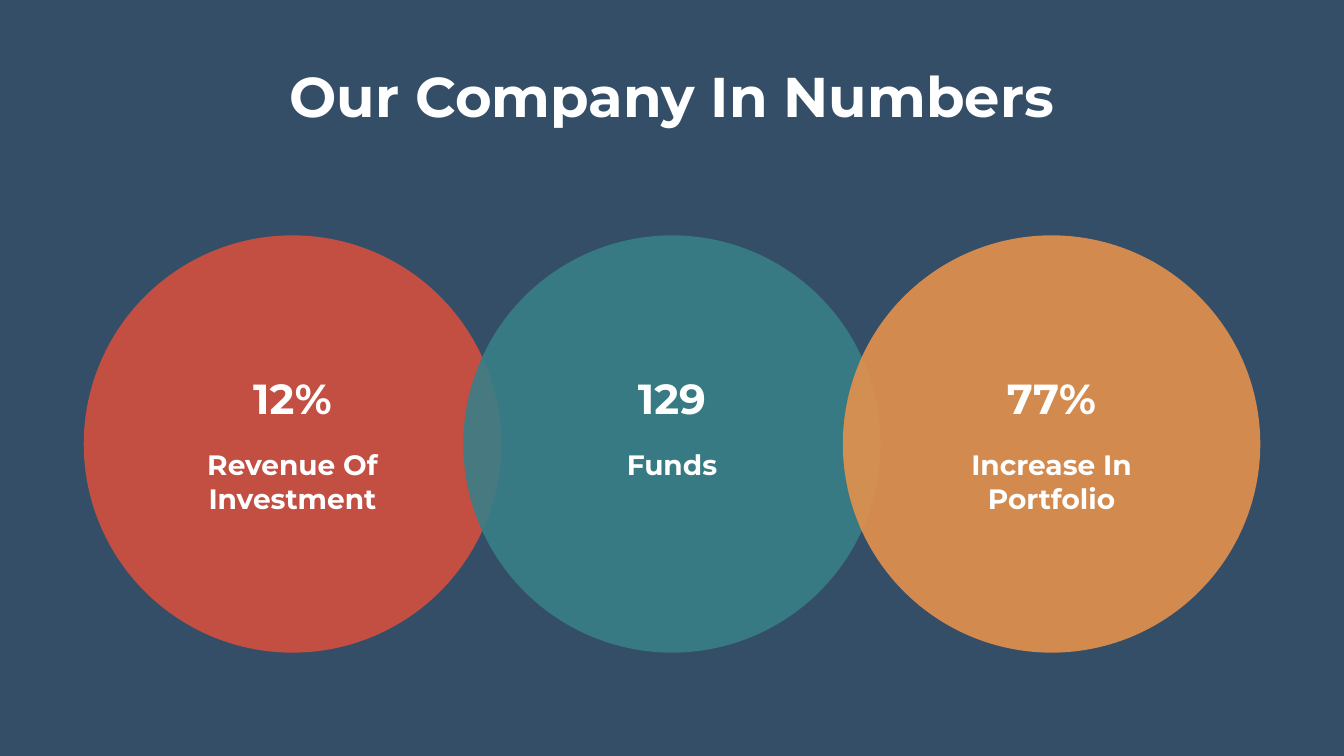
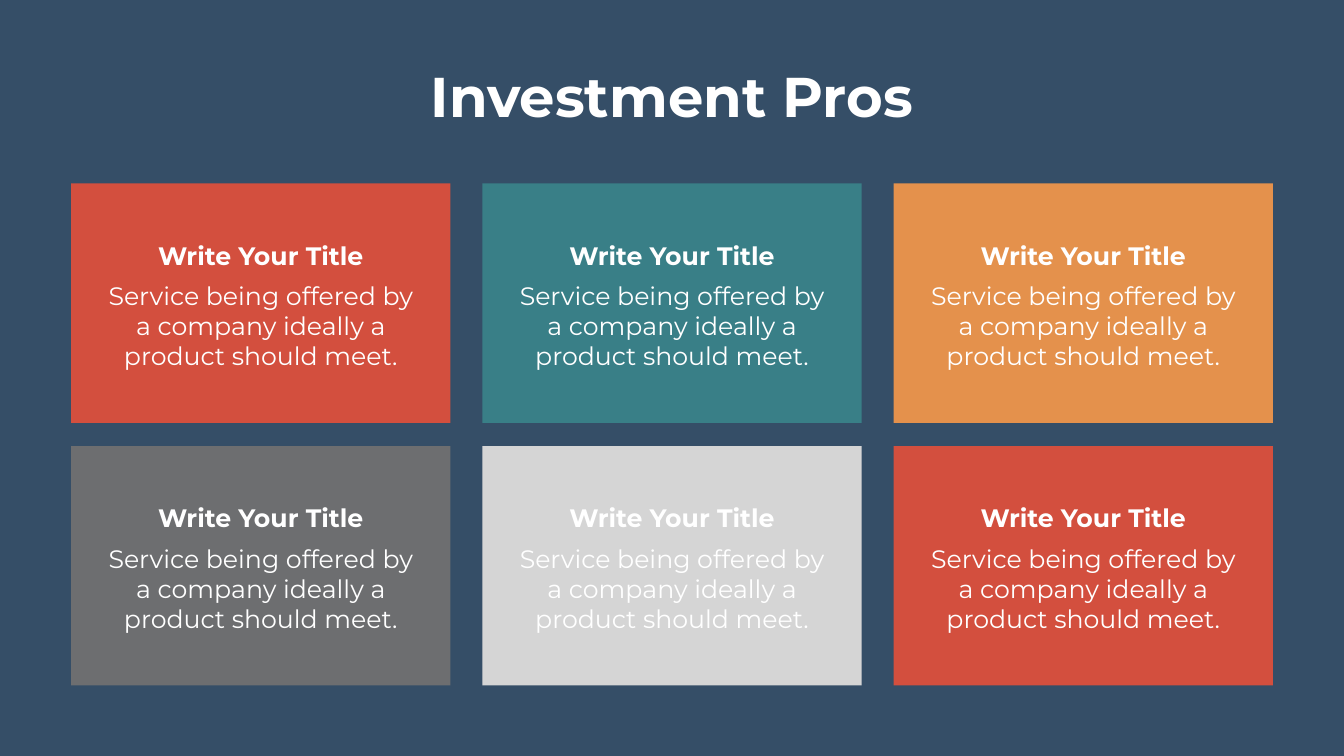
"""Build two slides: company numbers in overlapping circles and a grid of investment pros."""
from dataclasses import dataclass

from pptx import Presentation
from pptx.dml.color import RGBColor
from pptx.enum.shapes import MSO_SHAPE
from pptx.enum.text import MSO_AUTO_SIZE, PP_ALIGN
from pptx.oxml.ns import qn
from pptx.util import Inches, Pt
from lxml.etree import SubElement


@dataclass(frozen=True)
class Theme:
    font: str = "Montserrat"
    navy: str = "354E67"
    red: str = "D34F3E"
    teal: str = "397F87"
    orange: str = "E4914C"
    gray: str = "6D6E70"
    silver: str = "D5D5D5"
    white: str = "FFFFFF"
    title_size: int = 80
    number_size: int = 60
    label_size: int = 40
    card_size: int = 36
    card_leading: int = 43


theme = Theme()
presentation = Presentation()
presentation.slide_width = Inches(26.66)
presentation.slide_height = Inches(15)
column = presentation.slide_width / 100
row = presentation.slide_height / 100


def add_block(shapes, kind, center, top, width, height, color, opacity=100):
    shape = shapes.add_shape(kind, int((center - width / 2) * column), int(top * row),
                             int(width * column), int(height * row))
    shape.shadow.inherit = False
    shape.fill.solid()
    shape.fill.fore_color.rgb = RGBColor.from_string(color)
    shape.line.fill.background()
    if opacity < 100:
        color_element = shape.element.spPr.find(".//" + qn("a:srgbClr"))
        SubElement(color_element, qn("a:alpha"), val=str(opacity * 1000))


def add_text(shapes, text, center, top, width, height, size, bold=True, leading=None, wrap=True):
    shape = shapes.add_textbox(int((center - width / 2) * column), int(top * row),
                               int(width * column), int(height * row))
    shape.text_frame.word_wrap = wrap
    shape.text_frame.auto_size = MSO_AUTO_SIZE.SHAPE_TO_FIT_TEXT
    paragraph = shape.text_frame.paragraphs[0]
    paragraph.text = text
    paragraph.alignment = PP_ALIGN.CENTER
    paragraph.font.name = theme.font
    paragraph.font.size = Pt(size)
    paragraph.font.bold = bold
    paragraph.font.color.rgb = RGBColor.from_string(theme.white)
    if leading:
        paragraph.line_spacing = Pt(leading)


slides = []
for title in ("Our Company In Numbers", "Investment Pros"):
    slide = presentation.slides.add_slide(presentation.slide_layouts[6])
    add_block(slide.shapes, MSO_SHAPE.RECTANGLE, 50, 0, 100, 100, theme.navy)
    add_text(slide.shapes, title, 50, 7.87, 81.54, 9.67, theme.title_size)
    slides.append(slide)
numbers_slide, pros_slide = slides

facts = [
    ("12%", "Revenue Of Investment", theme.red, 9.67),
    ("129", "Funds", theme.teal, 5.13),
    ("77%", "Increase In Portfolio", theme.orange, 9.67),
]
circle_centers = [50 + 28.24 * (index - 1) for index in range(len(facts))]
for center, (number, label, color, label_height) in zip(circle_centers, facts):
    add_block(numbers_slide.shapes, MSO_SHAPE.OVAL, center, 31.13, 31.06, 55.2, color, opacity=90)
for center, (number, label, color, label_height) in zip(circle_centers, facts):
    group = numbers_slide.shapes.add_group_shape()
    add_text(group.shapes, number, center, 49, 8.03, 7.4, theme.number_size)
    add_text(group.shapes, label, center, 58.87, 17.89, label_height, theme.label_size)

card_title = "Write Your Title"
card_body = "Service being offered by a company ideally a product should meet."
card_colors = [theme.red, theme.teal, theme.orange, theme.gray, theme.silver, theme.red]
for index, color in enumerate(card_colors):
    card_row, card_column = divmod(index, 3)
    center = 50 + 30.6 * (card_column - 1)
    top = 24.27 + 34.73 * card_row
    group = pros_slide.shapes.add_group_shape()
    add_block(group.shapes, MSO_SHAPE.RECTANGLE, center, top, 28.21, 31.67, color)
    add_text(group.shapes, card_body, center, top + 12.53, 23.44, 12.73, theme.card_size,
             bold=False, leading=theme.card_leading)
    add_text(group.shapes, card_title, center, top + 7.13, 16.05, 4.73, theme.card_size, wrap=False)

presentation.save("out.pptx")
